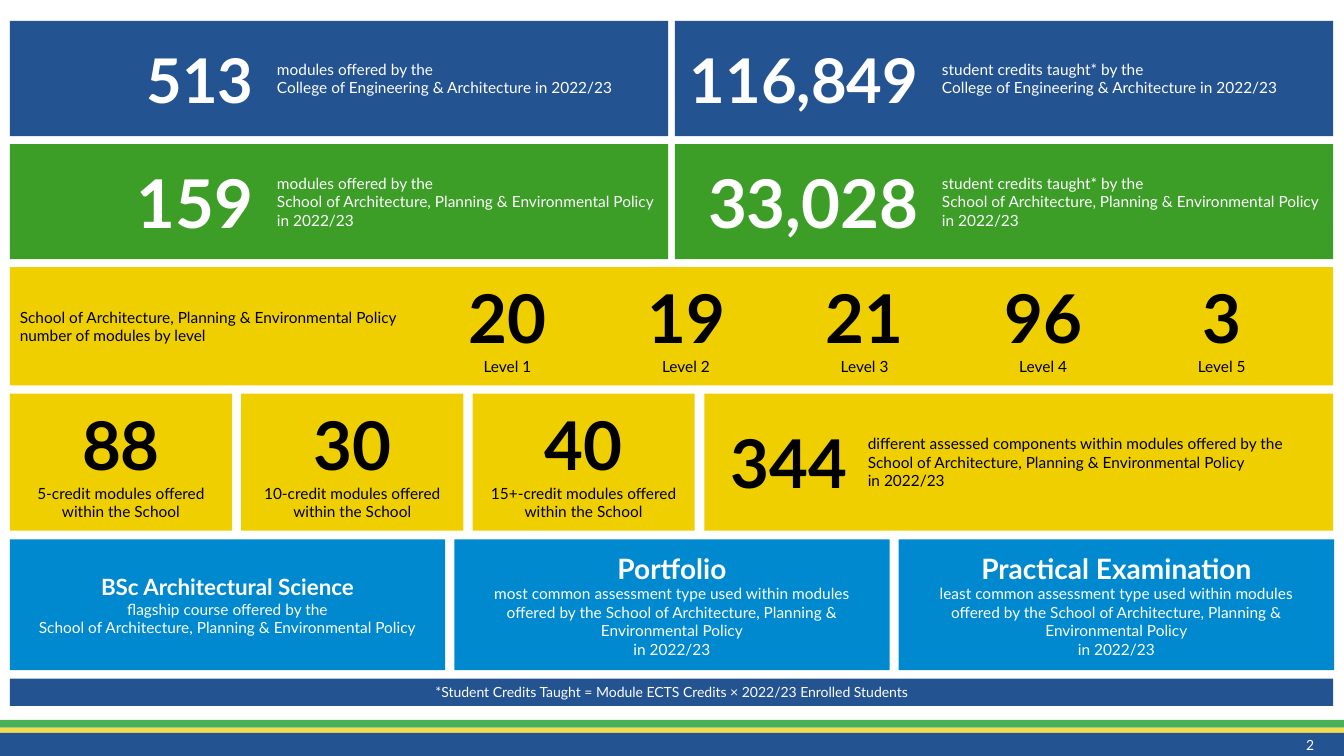
import pptx
import pptx.dml.color
import pptx.enum.shapes
import pptx.enum.text
import pptx.util

Cm = pptx.util.Cm
RGBColor = pptx.dml.color.RGBColor
ALIGN = pptx.enum.text.PP_ALIGN
RECTANGLE = pptx.enum.shapes.MSO_SHAPE.RECTANGLE

NAVY = RGBColor(0x24, 0x53, 0x91)
GREEN = RGBColor(0x3C, 0x9E, 0x27)
YELLOW = RGBColor(0xEF, 0xCF, 0x00)
BLUE = RGBColor(0x00, 0x89, 0xCF)
STRIPE_GREEN = RGBColor(0x4A, 0xAF, 0x55)
STRIPE_YELLOW = RGBColor(0xF4, 0xDB, 0x52)
WHITE = RGBColor(0xFF, 0xFF, 0xFF)
BLACK = RGBColor(0x00, 0x00, 0x00)

LEFT, FULL_WIDTH = 0.25, 33.35
SCHOOL = "School of Architecture, Planning & Environmental Policy"
COLLEGE = "College of Engineering & Architecture in 2022/23"
YEAR = "in 2022/23"


class Dashboard:
    """Style and current slide; boxes are (left, top, width, height) in cm."""

    font_name = "Lato"
    body_size = 11

    def __init__(self, slide):
        self.slide = slide

    def fill_text(self, frame, lines, color, align, inset=0.25):
        """Fill a frame with lines, each a string or a (text, size, bold) tuple."""
        frame_format = {
            "word_wrap": True,
            "vertical_anchor": pptx.enum.text.MSO_ANCHOR.MIDDLE,
            "margin_left": Cm(inset),
            "margin_right": Cm(0.25),
            "margin_top": Cm(0.13),
            "margin_bottom": Cm(0.13),
        }
        for key, value in frame_format.items():
            setattr(frame, key, value)
        for index, line in enumerate(lines):
            text, size, bold = (line, self.body_size, False) if isinstance(line, str) else line
            paragraph = frame.add_paragraph() if index else frame.paragraphs[0]
            paragraph.alignment = align
            run = paragraph.add_run()
            run.text = text
            font_format = {"name": self.font_name, "size": pptx.util.Pt(size), "bold": bold}
            for key, value in font_format.items():
                setattr(run.font, key, value)
            run.font.color.rgb = color

    def card(self, box, fill, lines=(), color=WHITE, align=ALIGN.CENTER, inset=0.25):
        panel = self.slide.shapes.add_shape(RECTANGLE, *map(Cm, box))
        panel.shadow.inherit = False
        panel.fill.solid()
        panel.fill.fore_color.rgb = fill
        panel.line.fill.background()
        self.fill_text(panel.text_frame, lines, color, align, inset)

    def label(self, box, lines, color, align):
        caption = self.slide.shapes.add_textbox(*map(Cm, box))
        self.fill_text(caption.text_frame, lines, color, align)

    def fact(self, box, fill, color, figure, size, figure_width, inset, lines):
        """Card with a big figure at the left and its explanation beside it."""
        left, top, _, height = box
        self.card(box, fill, lines, color, ALIGN.LEFT, inset)
        self.label((left, top, figure_width, height), [(figure, size, True)], color, ALIGN.RIGHT)


def main():
    presentation = pptx.Presentation()
    presentation.slide_width = Cm(33.87)
    presentation.slide_height = Cm(19.05)
    board = Dashboard(presentation.slides.add_slide(presentation.slide_layouts[6]))

    for top, height, fill in [
        (18.14, 0.2, STRIPE_GREEN), (18.34, 0.13, STRIPE_YELLOW), (18.47, 0.58, NAVY),
    ]:
        board.card((0, top, 33.87, height), fill)
    board.label((32.33, 18.47, 1.04, 0.58), [("2", 10, False)], WHITE, ALIGN.RIGHT)

    totals = [
        (NAVY, 44, ("513", "116,849"), [COLLEGE]),
        (GREEN, 48, ("159", "33,028"), [SCHOOL, YEAR]),
    ]
    topics = ("modules offered by the", "student credits taught* by the")
    for row, (fill, size, figures, owner) in enumerate(totals):
        for column, (figure, topic) in enumerate(zip(figures, topics)):
            box = (LEFT + 16.76 * column, 0.53 + 3.1 * row, 16.59, 2.9)
            board.fact(box, fill, WHITE, figure, size, 6.39, 6.73, [topic, *owner])

    board.card((LEFT, 6.73, FULL_WIDTH, 2.98), YELLOW,
               [SCHOOL, "number of modules by level"], BLACK, ALIGN.LEFT)
    for index, count in enumerate(("20", "19", "21", "96", "3")):
        board.label((10.54 + 4.5 * index, 6.73, 4.5, 2.98),
                    [(count, 48, True), f"Level {index + 1}"], BLACK, ALIGN.CENTER)

    for index, (count, credits) in enumerate([("88", "5"), ("30", "10"), ("40", "15+")]):
        board.card((LEFT + 5.83 * index, 9.92, 5.6, 3.45), YELLOW,
                   [(count, 48, True), f"{credits}-credit modules offered within the School"], BLACK)
    board.fact((17.75, 9.92, 15.85, 3.45), YELLOW, BLACK, "344", 48, 3.86, 4.12,
               [f"different assessed components within modules offered by the {SCHOOL}", YEAR])

    highlights = [
        [("BSc Architectural Science", 16, True), "flagship course offered by the", SCHOOL],
    ]
    for name, rank in [("Portfolio", "most"), ("Practical Examination", "least")]:
        highlights.append([(name, 20, True),
                           f"{rank} common assessment type used within modules",
                           f"offered by the {SCHOOL}", YEAR])
    for index, lines in enumerate(highlights):
        board.card((LEFT + 11.2 * index, 13.59, 10.97, 3.3), BLUE, lines)

    footnote = "*Student Credits Taught = Module ECTS Credits × 2022/23 Enrolled Students"
    board.card((LEFT, 17.1, FULL_WIDTH, 0.69), NAVY, [(footnote, 10, False)])

    presentation.save("out.pptx")


if __name__ == "__main__":
    main()
